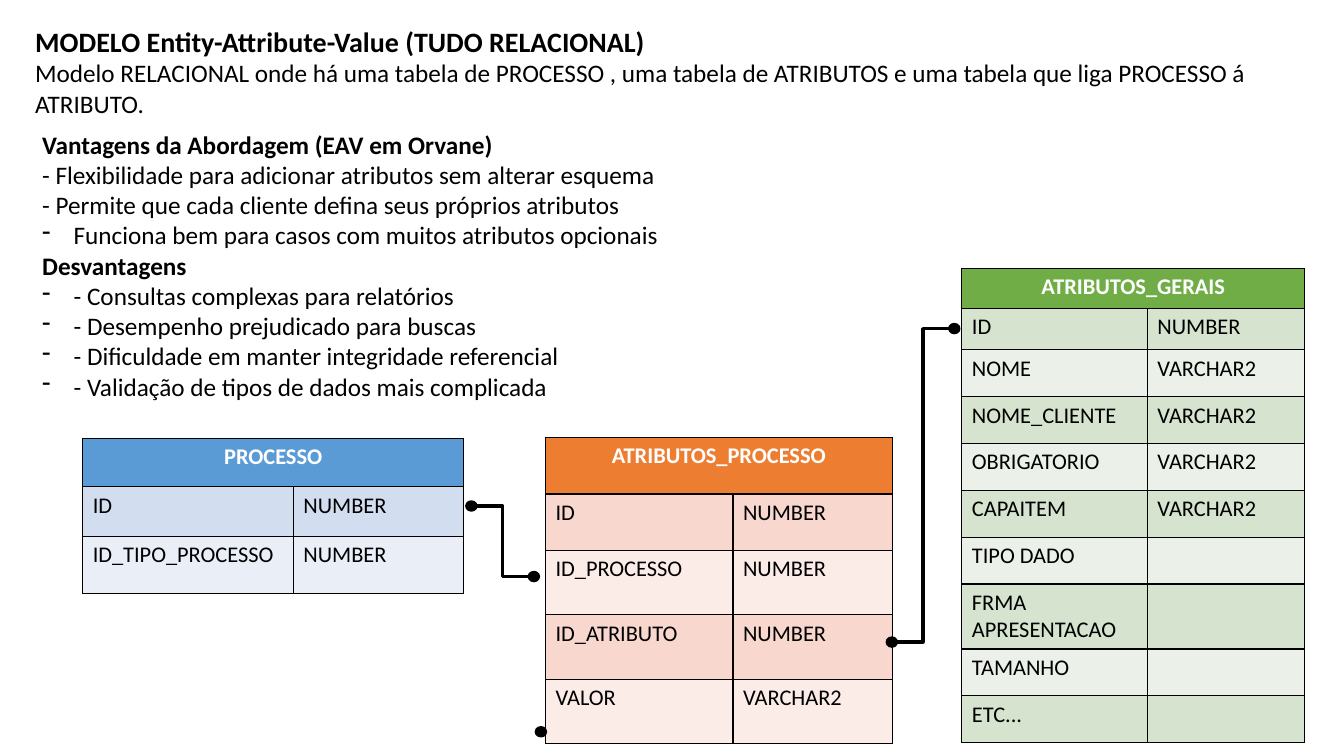
from dataclasses import dataclass

from lxml.etree import SubElement
from pptx import Presentation
from pptx.dml.color import RGBColor
from pptx.enum.shapes import MSO_CONNECTOR, MSO_SHAPE
from pptx.enum.text import MSO_AUTO_SIZE, PP_ALIGN
from pptx.oxml import parse_xml
from pptx.oxml.ns import nsdecls, qn
from pptx.util import Emu, Inches, Pt

# Grid: ten columns and ten rows to the inch
WIDE, HIGH = Inches(13.33), Inches(7.5)
COLS, ROWS = 133.3, 75
FONT, BLACK, WHITE = "Calibri", "000000", "FFFFFF"
DOT_W, DOT_H = 1.1, 1.0


@dataclass
class Grid:
    title: str
    left: float
    top: float
    cols: list[float]
    rows: list[float]
    head: str
    bands: tuple[str, str]
    body: list[tuple[str, str]]


@dataclass
class Dot:
    left: float
    top: float


@dataclass
class Line:
    text: str
    size: int = 18
    bold: bool = False
    dash: bool = False


def col(n: float) -> Emu:
    return Emu(round(WIDE * n / COLS))


def row(n: float) -> Emu:
    return Emu(round(HIGH * n / ROWS))


def tint(code: str) -> RGBColor:
    return RGBColor.from_string(code)


def write(para, text: str, *, size: int = 16, bold: bool = False,
          color: str = BLACK, align=PP_ALIGN.LEFT, dash: bool = False) -> None:
    para.alignment = align
    run = para.add_run()
    run.text = text
    font = run.font
    font.name, font.size, font.bold = FONT, Pt(size), bold
    font.color.rgb = tint(color)
    if dash:
        props = para._p.get_or_add_pPr()
        props.set("marL", "285750")
        props.set("indent", "-285750")
        SubElement(props, qn("a:buFontTx"))
        SubElement(props, qn("a:buChar")).set("char", "-")


def frame(cell) -> None:
    props = cell._tc.get_or_add_tcPr()
    for i, side in enumerate("LRTB"):
        props.insert(i, parse_xml(
            f'<a:ln{side} {nsdecls("a")} w="{Pt(1)}"><a:solidFill>'
            f'<a:srgbClr val="{BLACK}"/></a:solidFill></a:ln{side}>'))


def draw_grid(slide, grid: Grid) -> None:
    table = slide.shapes.add_table(
        len(grid.rows), len(grid.cols), col(grid.left), row(grid.top),
        col(sum(grid.cols)), row(sum(grid.rows))).table
    for i, width in enumerate(grid.cols):
        table.columns[i].width = col(width)
    for i, height in enumerate(grid.rows):
        table.rows[i].height = row(height)
    table.cell(0, 0).merge(table.cell(0, 1))
    for r, texts in enumerate([(grid.title, ""), *grid.body]):
        for c, text in enumerate(texts):
            cell = table.cell(r, c)
            cell.fill.solid()
            cell.fill.fore_color.rgb = tint(grid.bands[(r - 1) % 2] if r else grid.head)
            frame(cell)
            if text:
                style = {} if r else dict(bold=True, color=WHITE, align=PP_ALIGN.CENTER)
                write(cell.text_frame.paragraphs[0], text, **style)


def draw_dot(slide, dot: Dot) -> None:
    shape = slide.shapes.add_shape(
        MSO_SHAPE.OVAL, col(dot.left), row(dot.top), col(DOT_W), row(DOT_H))
    shape.shadow.inherit = False
    shape.fill.solid()
    shape.fill.fore_color.rgb = tint(BLACK)
    shape.line.color.rgb = tint(BLACK)
    shape.line.width = Pt(1)


def draw_link(slide, start: Dot, end: Dot) -> None:
    # From the right edge of one dot to the left edge of the next
    link = slide.shapes.add_connector(
        MSO_CONNECTOR.ELBOW, col(start.left + DOT_W), row(start.top + DOT_H / 2),
        col(end.left), row(end.top + DOT_H / 2))
    link.line.color.rgb = tint(BLACK)
    link.line.width = Pt(2.25)
    SubElement(link._element.spPr, qn("a:effectLst"))


def draw_text(slide, left: float, top: float, width: float, height: float,
              lines: list[Line]) -> None:
    box = slide.shapes.add_textbox(col(left), row(top), col(width), row(height))
    text = box.text_frame
    text.word_wrap = True
    text.auto_size = MSO_AUTO_SIZE.SHAPE_TO_FIT_TEXT
    for i, line in enumerate(lines):
        para = text.add_paragraph() if i else text.paragraphs[0]
        write(para, line.text, size=line.size, bold=line.bold, dash=line.dash)


NUM, CHARS = "NUMBER", "VARCHAR2"
GRIDS = [
    Grid("PROCESSO", 8.2, 43.5, [20.9, 16.9], [4.8, 4.9, 5.7],
         "5B9BD5", ("D2DEEF", "EAEFF7"),
         [("ID", NUM), ("ID_TIPO_PROCESSO", NUM)]),
    Grid("ATRIBUTOS_GERAIS", 95.4, 26.6, [18.4, 15.6],
         [4, 4.1] + [4.65] * 5 + [6.4] + [4.65] * 2,
         "70AD47", ("D5E3CF", "EBF1E9"),
         [("ID", NUM), ("NOME", CHARS), ("NOME_CLIENTE", CHARS),
          ("OBRIGATORIO", CHARS), ("CAPAITEM", CHARS), ("TIPO DADO", ""),
          ("FRMA APRESENTACAO", ""), ("TAMANHO", ""), ("ETC...", "")]),
    Grid("ATRIBUTOS_PROCESSO", 54.1, 43.4, [18.6, 15.8], [5.6] * 2 + [6.4] * 3,
         "ED7D31", ("F8D7CE", "FCECE8"),
         [("ID", NUM), ("ID_PROCESSO", NUM), ("ID_ATRIBUTO", NUM), ("VALOR", CHARS)]),
]

PROC, PROC_KEY = Dot(46.2, 49.7), Dot(52.4, 56.7)
ATTR_KEY, ATTR = Dot(87.9, 63.2), Dot(94.1, 32.1)
VALUE = Dot(53.1, 72.1)

INTRO = [
    Line("MODELO Entity-Attribute-Value (TUDO RELACIONAL)", size=20, bold=True),
    Line("Modelo RELACIONAL onde há uma tabela de PROCESSO , uma tabela de "
         "ATRIBUTOS e uma tabela que liga PROCESSO á ATRIBUTO."),
]
POINTS = [
    Line("Vantagens da Abordagem (EAV em Orvane)", bold=True),
    Line("- Flexibilidade para adicionar atributos sem alterar esquema"),
    Line("- Permite que cada cliente defina seus próprios atributos"),
    Line("Funciona bem para casos com muitos atributos opcionais", dash=True),
    Line("Desvantagens", bold=True),
    Line("- Consultas complexas para relatórios", dash=True),
    Line("- Desempenho prejudicado para buscas", dash=True),
    Line("- Dificuldade em manter integridade referencial", dash=True),
    Line("- Validação de tipos de dados mais complicada", dash=True),
]


def main() -> None:
    deck = Presentation()
    deck.slide_width, deck.slide_height = WIDE, HIGH
    slide = deck.slides.add_slide(deck.slide_layouts[6])
    # Tables
    for grid in GRIDS:
        draw_grid(slide, grid)
    # Links between keys
    for dot in (PROC, PROC_KEY, ATTR_KEY, ATTR, VALUE):
        draw_dot(slide, dot)
    for start, end in ((PROC, PROC_KEY), (ATTR_KEY, ATTR)):
        draw_link(slide, start, end)
    # Heading and points
    draw_text(slide, 2.5, 1.9, 126.9, 10.4, INTRO)
    draw_text(slide, 3.2, 12.3, 68.4, 28.3, POINTS)
    deck.save("out.pptx")


if __name__ == "__main__":
    main()
